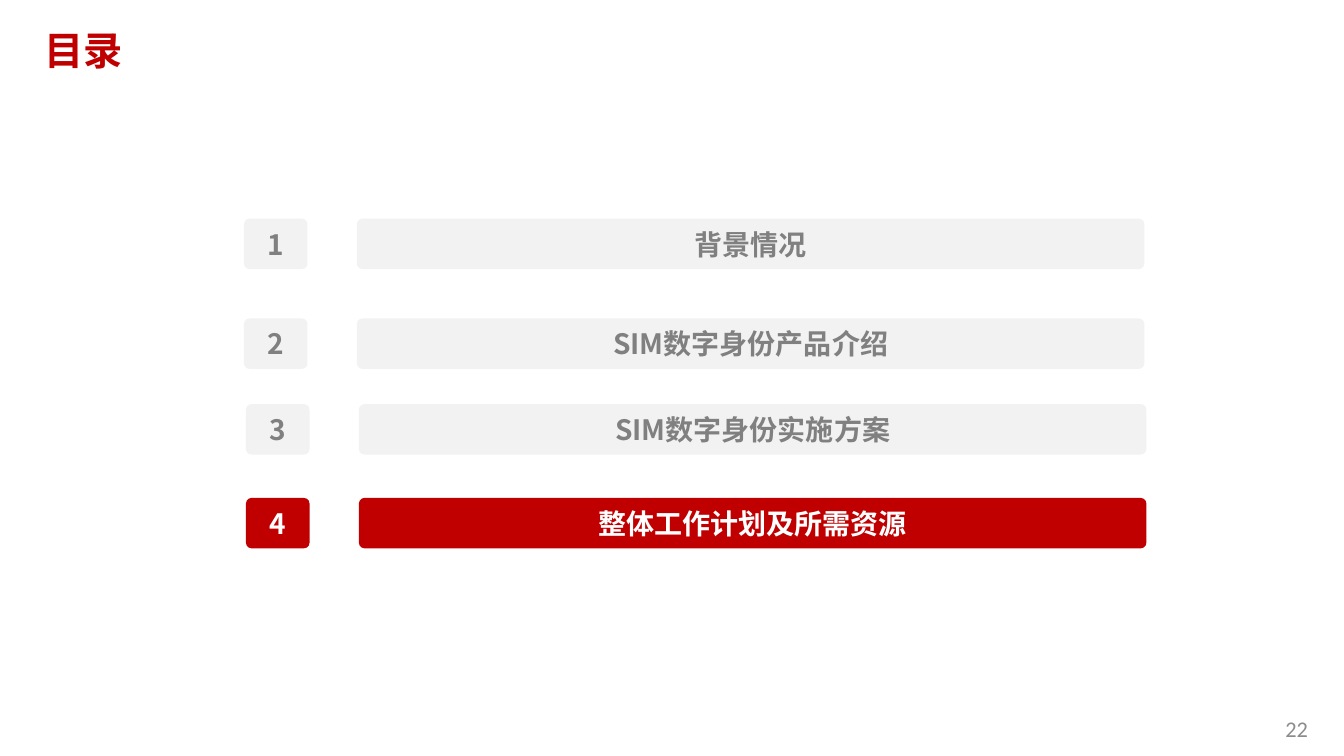
"""Build the agenda slide with its fourth section highlighted."""
from dataclasses import dataclass

from lxml import etree
from pptx import Presentation
from pptx.dml.color import RGBColor
from pptx.enum.shapes import MSO_SHAPE
from pptx.enum.text import MSO_ANCHOR, MSO_AUTO_SIZE, PP_ALIGN
from pptx.oxml.ns import qn
from pptx.util import Emu, Pt

ROUNDED = MSO_SHAPE.ROUNDED_RECTANGLE
MIDDLE = MSO_ANCHOR.MIDDLE
NO_FIT, GROW = MSO_AUTO_SIZE.NONE, MSO_AUTO_SIZE.SHAPE_TO_FIT_TEXT
LEFT, CENTER = PP_ALIGN.LEFT, PP_ALIGN.CENTER

PX = 9144
HEADING_FONT, NUMBER_FONT = "Noto Sans CJK SC", "Calibri"
COLORS = {"red": "C00000", "pale": "F2F2F2", "gray": "808080",
          "white": "FFFFFF", "page_number": "8C8C8C"}
NUMBER_WIDTH, TITLE_OFFSET, TITLE_WIDTH, ROW_HEIGHT = 63, 112, 781, 50


@dataclass(frozen=True)
class Section:
    title: str
    left: int
    top: int
    current: bool = False


SECTIONS = (
    Section("背景情况", 242, 217),
    Section("SIM数字身份产品介绍", 242, 316),
    Section("SIM数字身份实施方案", 244, 401),
    Section("整体工作计划及所需资源", 244, 494, current=True),
)


def px(length: int) -> Emu:
    return Emu(length * PX)


def color(name: str) -> RGBColor:
    return RGBColor.from_string(COLORS[name])


def set_insets(frame, horizontal: int, vertical: int) -> None:
    frame.margin_left = frame.margin_right = px(horizontal)
    frame.margin_top = frame.margin_bottom = px(vertical)


def add_text(frame, text: str, size: int, color_name: str, align,
             font: str = HEADING_FONT, bold: bool = True) -> None:
    para = frame.paragraphs[0]
    para.alignment = align
    span = para.add_run()
    span.text = text
    span.font.size = Pt(size)
    span.font.bold = bold
    span.font.name = font
    span.font.color.rgb = color(color_name)
    east_asian = etree.SubElement(span._r.get_or_add_rPr(), qn("a:ea"))
    east_asian.set("typeface", font)


def add_bar(page, left: int, top: int, width: int, text: str, current: bool) -> None:
    bar = page.shapes.add_shape(ROUNDED, px(left), px(top), px(width), px(ROW_HEIGHT))
    bar.adjustments[0] = 0.11
    bar.shadow.inherit = False
    bar.fill.solid()
    bar.fill.fore_color.rgb = color("red" if current else "pale")
    bar.line.fill.background()
    frame = bar.text_frame
    frame.word_wrap = True
    frame.vertical_anchor = MIDDLE
    set_insets(frame, 8, 5)
    add_text(frame, text, 20, "white" if current else "gray", CENTER)


def add_section(page, number: int, section: Section) -> None:
    add_bar(page, section.left + TITLE_OFFSET, section.top, TITLE_WIDTH,
            section.title, section.current)
    add_bar(page, section.left, section.top, NUMBER_WIDTH, str(number), section.current)


def add_title(page, text: str) -> None:
    title = page.shapes.title
    title.left, title.top, title.width, title.height = map(px, (37, 13, 1278, 72))
    frame = title.text_frame
    frame.auto_size = NO_FIT
    frame.vertical_anchor = MIDDLE
    set_insets(frame, 7, 4)
    add_text(frame, text, 28, "red", LEFT)


def add_page_number(page, text: str) -> None:
    box = page.shapes.add_textbox(px(1265), px(705), px(46), px(37))
    frame = box.text_frame
    frame.word_wrap = False
    frame.auto_size = GROW
    add_text(frame, text, 16, "page_number", LEFT, NUMBER_FONT, bold=False)


def main() -> None:
    deck = Presentation()
    deck.slide_width, deck.slide_height = px(1333), px(750)
    page = deck.slides.add_slide(deck.slide_layouts.get_by_name("Title Only"))
    add_title(page, "目录")
    for number, section in enumerate(SECTIONS, start=1):
        add_section(page, number, section)
    add_page_number(page, "22")
    deck.save("out.pptx")


if __name__ == "__main__":
    main()
